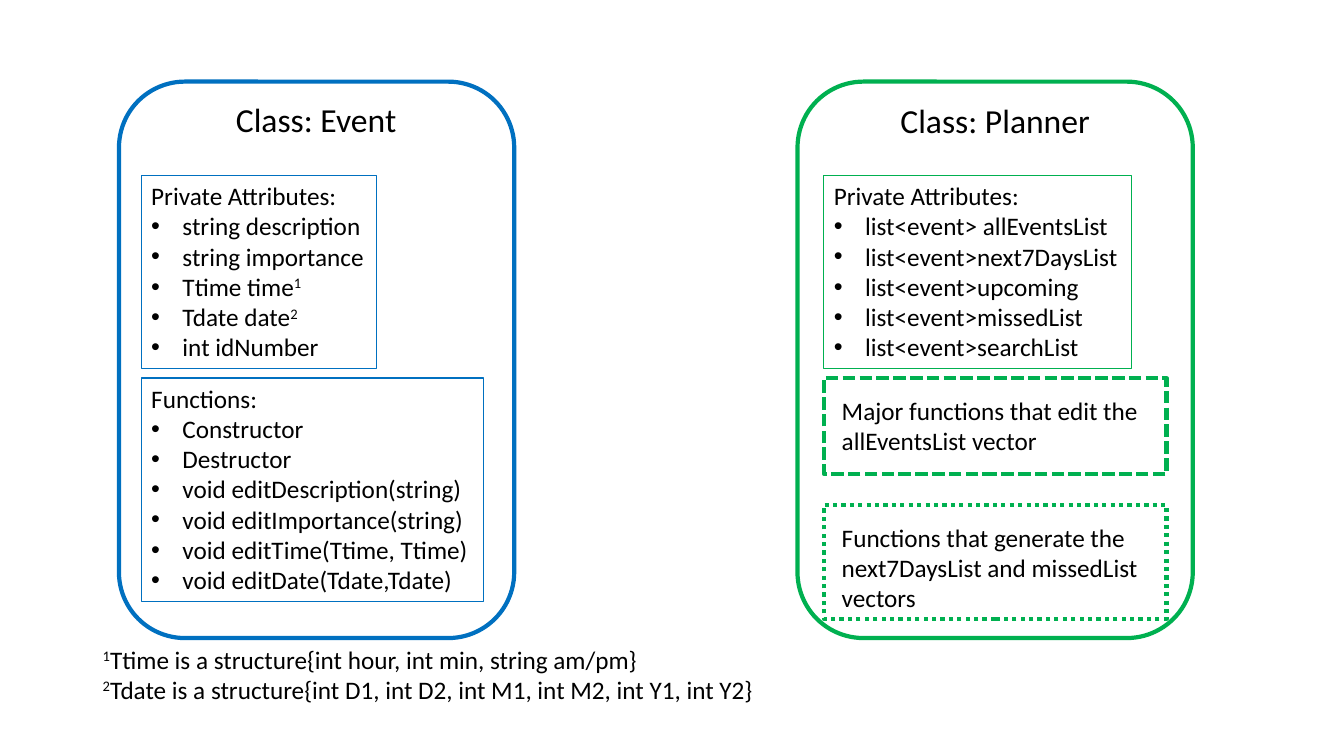
from dataclasses import dataclass

from lxml import etree
from pptx import Presentation
from pptx.dml.color import RGBColor
from pptx.enum.dml import MSO_LINE
from pptx.enum.shapes import MSO_SHAPE
from pptx.enum.text import MSO_ANCHOR, MSO_AUTO_SIZE, PP_ALIGN
from pptx.oxml.ns import qn
from pptx.util import Inches, Pt

RECTANGLE, ROUNDED = MSO_SHAPE.RECTANGLE, MSO_SHAPE.ROUNDED_RECTANGLE
DASHED, DOTTED = MSO_LINE.SQUARE_DOT, MSO_LINE.ROUND_DOT
LEFT, CENTER, TOP = PP_ALIGN.LEFT, PP_ALIGN.CENTER, MSO_ANCHOR.TOP
NO_AUTOFIT = MSO_AUTO_SIZE.NONE
COMPARISON_LAYOUT = 4
COLUMNS, ROWS = 133.3, 75
SUPERSCRIPT = "^"


@dataclass(frozen=True)
class Theme:
    font: str = "Calibri"
    heading_size: int = 24
    body_size: int = 18
    ink: RGBColor = RGBColor(0x00, 0x00, 0x00)
    event: RGBColor = RGBColor(0x00, 0x70, 0xC0)
    planner: RGBColor = RGBColor(0x00, 0xB0, 0x50)
    thick: float = 3
    thin: float = 0.75
    bullet_indent: float = 0.31


class ClassDiagram:
    def __init__(self, presentation, theme):
        self.theme = theme
        self.column = presentation.slide_width / COLUMNS
        self.row = presentation.slide_height / ROWS
        layout = presentation.slide_layouts[COMPARISON_LAYOUT]
        self.slide = presentation.slides.add_slide(layout)

    def area(self, left, top, width, height):
        return (round(left * self.column), round(top * self.row),
                round(width * self.column), round(height * self.row))

    def outline(self, shape, color, weight, dash=None):
        shape.line.color.rgb = color
        shape.line.width = Pt(weight)
        if dash is not None:
            shape.line.dash_style = dash

    def frame(self, kind, area, color, dash=None):
        frame = self.slide.shapes.add_shape(kind, *self.area(*area))
        frame.shadow.inherit = False
        frame.fill.background()
        self.outline(frame, color, self.theme.thick, dash)

    def placeholder(self, index, area):
        holder = self.slide.placeholders[index]
        holder.left, holder.top, holder.width, holder.height = self.area(*area)
        return holder

    def heading(self, index, area, text):
        holder = self.placeholder(index, area)
        self.set_lines(holder, [text], self.theme.heading_size, CENTER)

    def member_list(self, index, area, color, caption, members):
        holder = self.placeholder(index, area)
        self.outline(holder, color, self.theme.thin)
        self.set_lines(holder, [caption, *members], self.theme.body_size, bullets=True)

    def note(self, area, lines, wrap=False):
        box = self.slide.shapes.add_textbox(*self.area(*area))
        self.set_lines(box, lines, self.theme.body_size, wrap=wrap)

    def set_lines(self, holder, lines, size, align=LEFT, bullets=False, wrap=False):
        frame = holder.text_frame
        frame.auto_size = NO_AUTOFIT
        frame.word_wrap = wrap
        frame.vertical_anchor = TOP
        for number, line in enumerate(lines):
            paragraph = frame.add_paragraph() if number else frame.paragraphs[0]
            paragraph.alignment = align
            paragraph.line_spacing = 1.0
            paragraph.space_before = paragraph.space_after = Pt(0)
            self.set_bullet(paragraph, bullets and number > 0)
            font = paragraph.font
            font.name, font.size, font.bold = self.theme.font, Pt(size), False
            font.color.rgb = self.theme.ink
            self.add_runs(paragraph, line)

    def set_bullet(self, paragraph, bulleted):
        properties = paragraph._p.get_or_add_pPr()
        indent = Inches(self.theme.bullet_indent) if bulleted else 0
        properties.set("marL", str(indent))
        properties.set("indent", str(-indent))
        if bulleted:
            etree.SubElement(properties, qn("a:buFont"), typeface="Arial")
            etree.SubElement(properties, qn("a:buChar"), char="•")
        else:
            etree.SubElement(properties, qn("a:buNone"))

    def add_runs(self, paragraph, line):
        for position, part in enumerate(line.split(SUPERSCRIPT)):
            if part:
                run = paragraph.add_run()
                run.text = part
                if position % 2:
                    run._r.get_or_add_rPr().set("baseline", "30000")


def main():
    presentation = Presentation()
    presentation.slide_width, presentation.slide_height = Inches(13.33), Inches(7.5)
    theme = Theme()
    diagram = ClassDiagram(presentation, theme)

    panel_top, panel_width, panel_height = 8.1, 39.2, 55.2
    for panel_left, color in ((79.1, theme.planner), (11.8, theme.event)):
        diagram.frame(ROUNDED, (panel_left, panel_top, panel_width, panel_height), color)

    diagram.heading(0, (22.3, 9.3, 18.1, 5), "Class: Event")
    diagram.heading(1, (88.2, 9.4, 21, 5), "Class: Planner")

    event_left, planner_left = 14, 81.7
    attributes_top, functions_top = 17.4, 37.5
    attributes_height, functions_width = 19.2, 34
    diagram.member_list(
        2, (event_left, attributes_top, 23.3, attributes_height),
        theme.event, "Private Attributes:",
        ["string description", "string importance", "Ttime time^1^",
         "Tdate date^2^", "int idNumber"])
    diagram.member_list(
        4, (planner_left, attributes_top, 30.5, attributes_height),
        theme.planner, "Private Attributes:",
        ["list<event> allEventsList", "list<event>next7DaysList",
         "list<event>upcoming", "list<event>missedList", "list<event>searchList"])
    diagram.member_list(
        3, (event_left, functions_top, functions_width, 22.2),
        theme.event, "Functions:",
        ["Constructor", "Destructor", "void editDescription(string)",
         "void editImportance(string)", "void editTime(Ttime, Ttime)",
         "void editDate(Tdate,Tdate)"])

    function_groups = (
        (functions_top, 9.5, DASHED, 7.1,
         "Major functions that edit the allEventsList vector"),
        (50.1, 11.3, DOTTED, 10.1,
         "Functions that generate the next7DaysList and missedList vectors"),
    )
    for top, height, dash, text_height, summary in function_groups:
        diagram.frame(RECTANGLE, (planner_left, top, functions_width, height),
                      theme.planner, dash)
        diagram.note((planner_left + 0.8, top + 1.2, 32.1, text_height),
                     [summary], wrap=True)

    diagram.note(
        (9.2, 63.4, 67.3, 7.1),
        ["^1^Ttime is a structure{int hour, int min, string am/pm}",
         "^2^Tdate is a structure{int D1, int D2, int M1, int M2, int Y1, int Y2}"])

    presentation.save("out.pptx")


if __name__ == "__main__":
    main()
